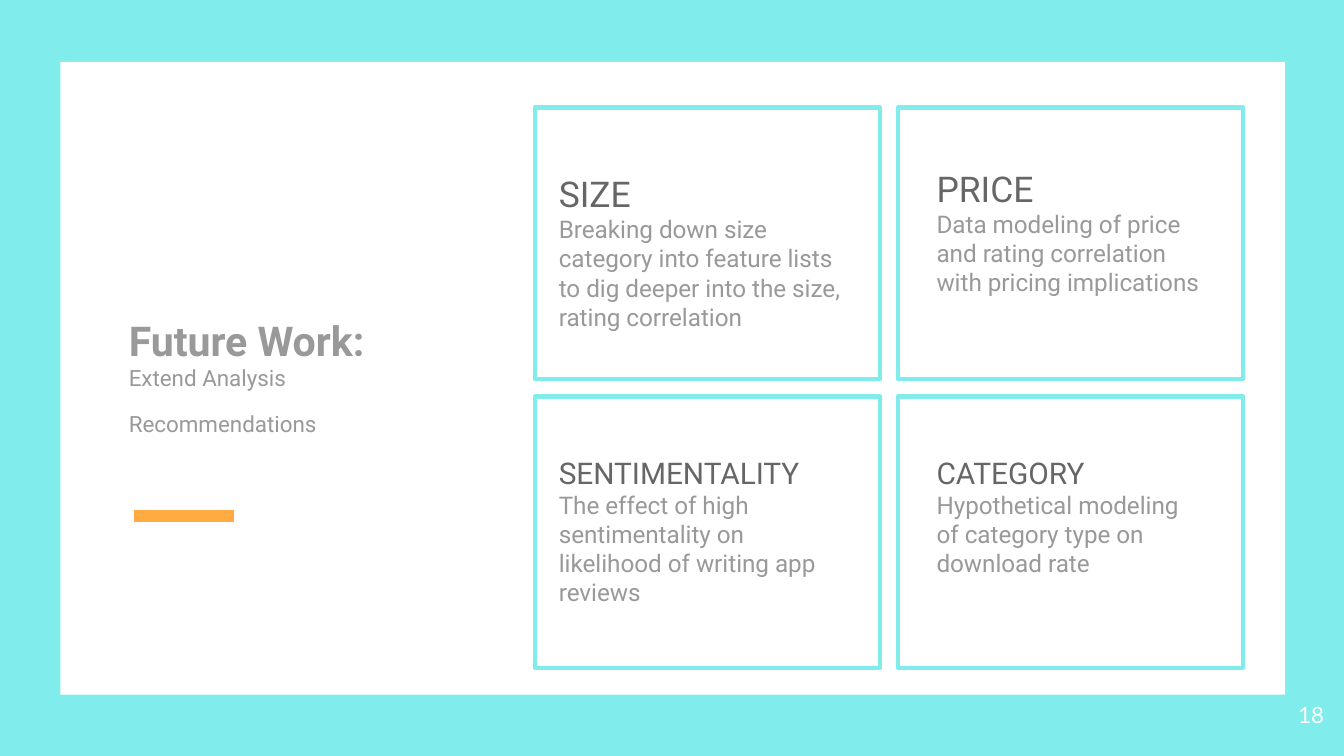
"""Build the Future Work slide: a heading beside a two-by-two grid of cards."""
from dataclasses import dataclass

from lxml import etree
from pptx import Presentation
from pptx import util as u
from pptx.dml import color
from pptx.enum import shapes, text
from pptx.oxml import ns


@dataclass(frozen=True)
class Theme:
    aqua: str = "81ECEC"
    white: str = "FFFFFF"
    amber: str = "FFAB40"
    dark: str = "666666"
    grey: str = "999999"
    font: str = "Roboto"
    num_font: str = "Lato"
    title: int = 22
    big: int = 19
    head: int = 16
    body: int = 13
    small: int = 12


theme = Theme()


def add_rect(left, top, width, height):
    box = slide.shapes.add_shape(
        shapes.MSO_SHAPE.RECTANGLE,
        u.Inches(left), u.Inches(top), u.Inches(width), u.Inches(height))
    box.shadow.inherit = False
    return box


def add_text(left, top, width, height, words, styles, font=theme.font):
    box = slide.shapes.add_textbox(
        u.Inches(left), u.Inches(top), u.Inches(width), u.Inches(height))
    frame = box.text_frame
    frame.word_wrap = True
    frame.margin_left = frame.margin_right = u.Inches(0.1)
    frame.margin_top = frame.margin_bottom = u.Inches(0.1)
    frame.text = words
    runs = [run for para in frame.paragraphs for run in para.runs]
    for run, (size, tint) in zip(runs, styles):
        run.font.name, run.font.size = font, u.Pt(size)
        run.font.color.rgb = color.RGBColor.from_string(tint)
    return frame


deck = Presentation()
deck.slide_width = u.Inches(10)
deck.slide_height = deck.slide_width * 9 // 16
slide = deck.slides.add_slide(deck.slide_layouts[6])
slide.background.fill.solid()
slide.background.fill.fore_color.rgb = color.RGBColor.from_string(theme.aqua)

panel = add_rect(0.45, 0.46, 9.11, 4.71)
panel.fill.solid()
panel.fill.fore_color.rgb = color.RGBColor.from_string(theme.white)
panel.line.fill.background()

accent = slide.shapes.add_connector(
    shapes.MSO_CONNECTOR.STRAIGHT,
    u.Inches(1), u.Inches(3.84), u.Inches(1.74), u.Inches(3.84))
accent.line.color.rgb = color.RGBColor.from_string(theme.amber)
accent.line.width = u.Pt(6)
etree.SubElement(accent._element.spPr, ns.qn("a:effectLst"))

for row in range(2):
    for col in range(2):
        card = add_rect(3.98 + 2.7 * col, 0.8 + 2.15 * row, 2.57, 2.02)
        card.fill.background()
        card.line.color.rgb = color.RGBColor.from_string(theme.aqua)
        card.line.width = u.Pt(2.25)

topics = [
    (4.06, 1.18, 2.37, theme.big,
     "SIZE\nBreaking down size category into feature lists to dig deeper into the size, rating correlation"),
    (6.87, 1.14, 2.18, theme.big,
     "PRICE\vData modeling of price and rating correlation with pricing implications"),
    (4.06, 3.28, 2.3, theme.head,
     "SENTIMENTALITY\vThe effect of high sentimentality on likelihood of writing app reviews"),
    (6.87, 3.28, 2.18, theme.head,
     "CATEGORY\vHypothetical modeling of category type on download rate"),
]
for left, top, width, size, words in topics:
    add_text(left, top, width, 1.24, words,
             [(size, theme.dark), (theme.body, theme.grey)])

number = add_text(9.35, 5.1, 0.6, 0.43, "18",
                  [(theme.small, theme.white)], theme.num_font)
number.vertical_anchor = text.MSO_ANCHOR.MIDDLE
number.paragraphs[0].alignment = text.PP_ALIGN.RIGHT

title = add_text(0.86, 1.9, 2.78, 1.82,
                 "Future Work:\nExtend Analysis Recommendations",
                 [(theme.title, theme.grey), (theme.small, theme.grey)])
title.vertical_anchor = text.MSO_ANCHOR.MIDDLE
title.paragraphs[0].runs[0].font.bold = True
tail = title.paragraphs[1].add_run()
tail.text = " "
tail.font.name, tail.font.size = theme.font, u.Pt(theme.title)

deck.save("out.pptx")
